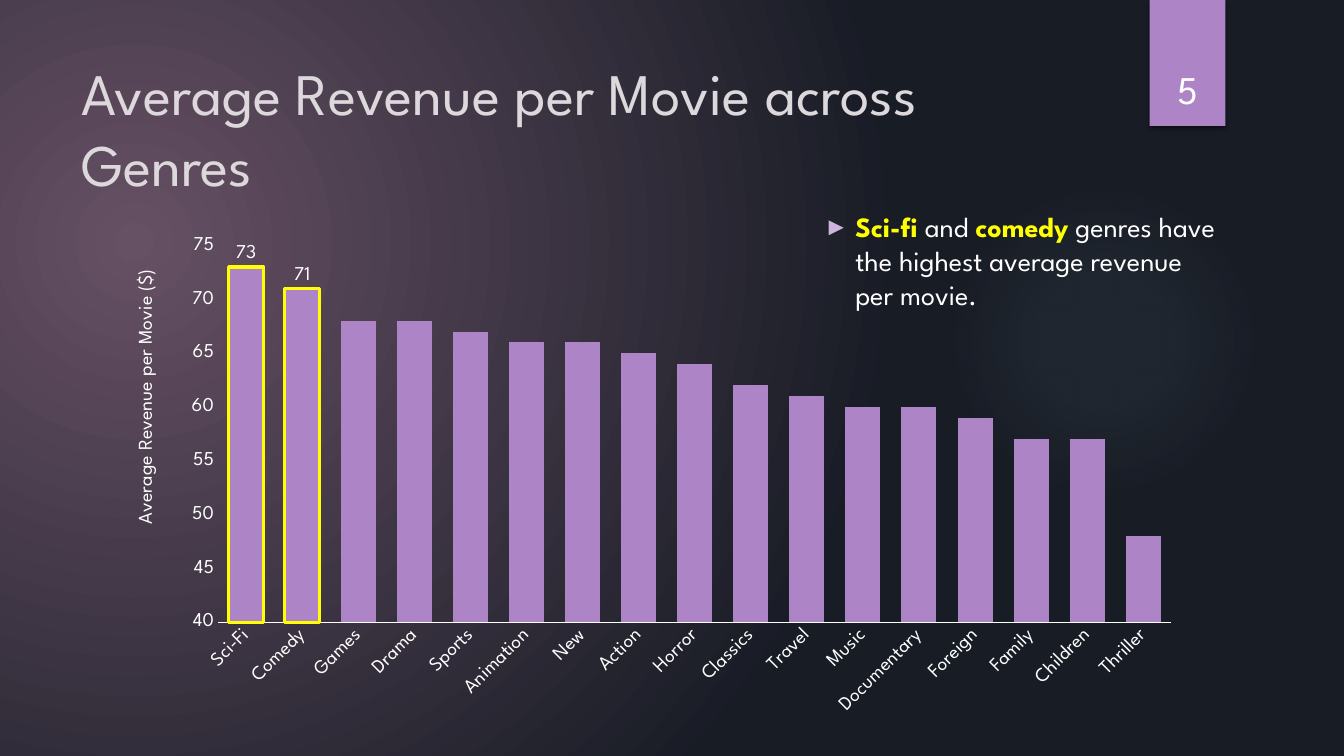
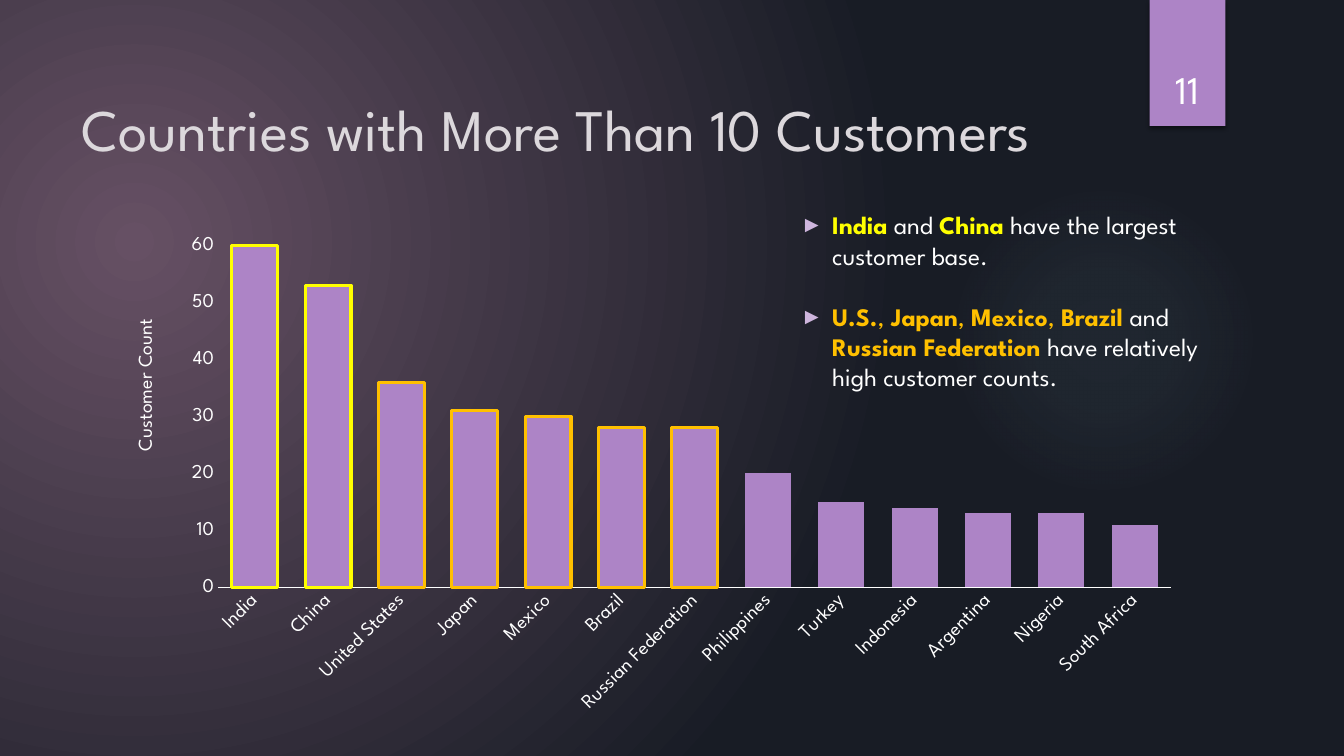
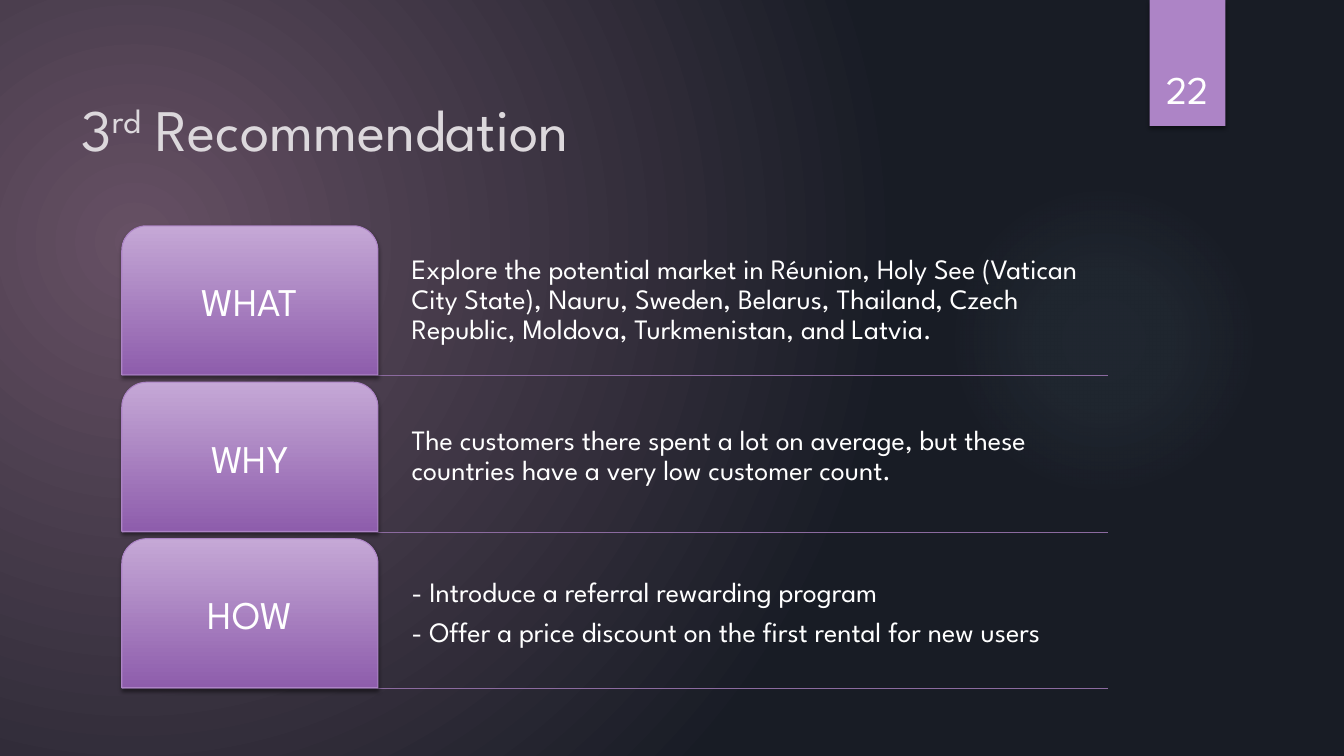
from pptx import Presentation
from pptx.chart.data import CategoryChartData
from pptx.dml.color import RGBColor
from pptx.enum.chart import XL_CHART_TYPE, XL_LABEL_POSITION, XL_TICK_MARK
from pptx.enum.shapes import MSO_CONNECTOR, MSO_SHAPE
from pptx.enum.text import MSO_ANCHOR, MSO_AUTO_SIZE, PP_ALIGN
from pptx.oxml import parse_xml
from pptx.oxml.ns import nsdecls, qn
from pptx.util import Pt

PX = 9525
FONT = "League Spartan"
WHITE = RGBColor(0xFF, 0xFF, 0xFF)
TITLE_GREY = RGBColor(0xDC, 0xD8, 0xDC)
PURPLE = RGBColor(0xAD, 0x84, 0xC6)
LILAC = RGBColor(0xC5, 0xA8, 0xD6)
VIOLET = RGBColor(0x8E, 0x5D, 0xAC)
RULE = RGBColor(0x8B, 0x6A, 0x9F)
BULLET = RGBColor(0xCE, 0xB5, 0xDD)
MAUVE = RGBColor(0x66, 0x50, 0x64)
NIGHT = RGBColor(0x18, 0x1C, 0x25)
TEAL = RGBColor(0x84, 0xAC, 0xB6)
YELLOW = RGBColor(0xFF, 0xFF, 0x00)
AMBER = RGBColor(0xFF, 0xC0, 0x00)
SHADOW = (f'<a:outerShdw {nsdecls("a")} blurRad="38100" dist="25400" dir="5400000" '
          'rotWithShape="0"><a:srgbClr val="000000"><a:alpha val="45000"/>'
          '</a:srgbClr></a:outerShdw>')


def add_run(p, text, size, color=WHITE, bold=False):
    r = p.add_run()
    r.text = text
    r.font.name, r.font.size, r.font.bold = FONT, Pt(size), bold
    r.font.color.rgb = color


def set_radial(fill, holder, stops, focus):
    """Fill with a circular gradient: stops are (position, colour, opacity) in percent."""
    fill.gradient()
    old = next(holder.iter(qn("a:gradFill")))
    gs = "".join(
        f'<a:gs pos="{pos * 1000}"><a:srgbClr val="{color}">'
        f'<a:alpha val="{alpha * 1000}"/></a:srgbClr></a:gs>'
        for pos, color, alpha in stops)
    left, top, right, bottom = (v * 1000 for v in focus)
    old.getparent().replace(old, parse_xml(
        f'<a:gradFill {nsdecls("a")} rotWithShape="1"><a:gsLst>{gs}</a:gsLst>'
        f'<a:path path="circle"><a:fillToRect l="{left}" t="{top}" r="{right}" '
        f'b="{bottom}"/></a:path></a:gradFill>'))


prs = Presentation()
prs.slide_width, prs.slide_height = 1280 * PX, 720 * PX
master = prs.slide_master
set_radial(master.background.fill, master.element,
           [(0, MAUVE, 100), (100, NIGHT, 100)], (45, 65, 125, 100))

# Titles and page numbers
CONTENT, TITLE_ONLY = prs.slide_layouts[1], prs.slide_layouts[5]
slides = []
for layout, title_parts, number in (
        (CONTENT, ["Average Revenue per Movie across Genres"], "5"),
        (CONTENT, ["Countries with More Than 10 Customers"], "11"),
        (TITLE_ONLY, ["3", "rd", " Recommendation"], "22")):
    slide = prs.slides.add_slide(layout)
    slides.append(slide)
    title = slide.shapes.title
    title.left, title.top, title.width, title.height = 68 * PX, 48 * PX, 988 * PX, 147 * PX
    tf = title.text_frame
    tf.auto_size, tf.vertical_anchor = MSO_AUTO_SIZE.NONE, MSO_ANCHOR.MIDDLE
    p = tf.paragraphs[0]
    p.alignment = PP_ALIGN.LEFT
    for part in title_parts:
        add_run(p, part, 42, TITLE_GREY)

    box = slide.shapes.add_textbox(1087 * PX, 31 * PX, 88 * PX, 81 * PX)
    tf = box.text_frame
    tf.word_wrap, tf.vertical_anchor = True, MSO_ANCHOR.BOTTOM
    p = tf.paragraphs[0]
    p.alignment = PP_ALIGN.CENTER
    add_run(p, number, 28)
ordinal = slides[2].shapes.title.text_frame.paragraphs[0].runs[1]
ordinal.font._element.set("baseline", "30000")

# Glow and number band, moved to the master so that every slide shows them
shapes = slides[0].shapes
glow = shapes.add_shape(MSO_SHAPE.OVAL, 903 * PX, 176 * PX, 296 * PX, 296 * PX)
set_radial(glow.fill, glow.element.spPr,
           [(0, TEAL, 7), (36, TEAL, 6), (69, TEAL, 0)], (50, 50, 50, 50))
band = shapes.add_shape(MSO_SHAPE.RECTANGLE, 1095 * PX, 0, 72 * PX, 120 * PX)
band.fill.solid()
band.fill.fore_color.rgb = PURPLE
for shape_id, sp in enumerate((glow, band), 20):
    sp.line.fill.background()
    sp.shadow.inherit = False
    sp.element.nvSpPr.cNvPr.set("id", str(shape_id))
    master.shapes.element.append(sp.element)
band.element.spPr.find(qn("a:effectLst")).append(parse_xml(SHADOW))

# Column charts with takeaways
CHARTS = [
    dict(axis_title="Average Revenue per Movie ($)", title_y=0.08, plot_height=0.76,
         scale=(40, 75, 5), labelled=2, outlines=[YELLOW] * 2,
         data={"Sci-Fi": 73, "Comedy": 71, "Games": 68, "Drama": 68, "Sports": 67,
               "Animation": 66, "New": 66, "Action": 65, "Horror": 64, "Classics": 62,
               "Travel": 61, "Music": 60, "Documentary": 60, "Foreign": 59,
               "Family": 57, "Children": 57, "Thriller": 48},
         list_at=(775, 195, 399, 107), list_size=20,
         points=[[("Sci-fi", YELLOW, True), (" and ",), ("comedy", YELLOW, True),
                  (" genres have the highest average revenue per movie.",)]]),
    dict(axis_title="Customer Count", title_y=0.18, plot_height=0.69,
         scale=(0, 60, 10), labelled=0, outlines=[YELLOW] * 2 + [AMBER] * 5,
         data={"India": 60, "China": 53, "United States": 36, "Japan": 31, "Mexico": 30,
               "Brazil": 28, "Russian Federation": 28, "Philippines": 20, "Turkey": 15,
               "Indonesia": 14, "Argentina": 13, "Nigeria": 13, "South Africa": 11},
         list_at=(753, 195, 422, 184), list_size=18,
         points=[[("India", YELLOW, True), (" and ",), ("China", YELLOW, True),
                  (" have the largest customer base.",)],
                 [("U.S.", AMBER, True), (",", AMBER), (" Japan", AMBER, True),
                  (", ", AMBER), ("Mexico", AMBER, True), (", ", AMBER),
                  ("Brazil ", AMBER, True), ("and ",),
                  ("Russian Federation ", AMBER, True),
                  ("have relatively high customer counts.",)]]),
]
for slide, info in zip(slides, CHARTS):
    chart_data = CategoryChartData()
    chart_data.categories = list(info["data"])
    chart_data.add_series("Series 1", list(info["data"].values()))
    chart = slide.shapes.add_chart(XL_CHART_TYPE.COLUMN_CLUSTERED, 116 * PX, 215 * PX,
                                   1020 * PX, 472 * PX, chart_data).chart
    chart.has_title = chart.has_legend = False
    plot = chart.plots[0]
    plot.gap_width, plot.overlap, plot.vary_by_categories = 60, -27, False
    cat_axis, val_axis = chart.category_axis, chart.value_axis
    cat_axis.format.line.color.rgb = WHITE
    cat_axis.format.line.width = Pt(0.75)
    val_axis.format.line.fill.background()
    val_axis.minimum_scale, val_axis.maximum_scale, val_axis.major_unit = info["scale"]
    val_axis.tick_labels.number_format = "#,##0"
    val_axis.tick_labels.number_format_is_linked = False
    for axis in (cat_axis, val_axis):
        axis.has_major_gridlines = False
        axis.major_tick_mark = axis.minor_tick_mark = XL_TICK_MARK.NONE
    add_run(val_axis.axis_title.text_frame.paragraphs[0], info["axis_title"], 14)

    series = plot.series[0]
    series.invert_if_negative = False
    series.format.fill.solid()
    series.format.fill.fore_color.rgb = PURPLE
    fonts = [chart.font, cat_axis.tick_labels.font, val_axis.tick_labels.font]
    for i, color in enumerate(info["outlines"]):
        point = series.points[i]
        point.format.fill.solid()
        point.format.fill.fore_color.rgb = PURPLE
        point.format.line.color.rgb = color
        point.format.line.width = Pt(2.25)
        if i < info["labelled"]:
            point.data_label.position = XL_LABEL_POSITION.OUTSIDE_END
            fonts.append(point.data_label.font)
    for font in fonts:
        font.name, font.size, font.bold = FONT, Pt(14), False
        font.color.rgb = WHITE

    chart_space = chart._chartSpace
    plot_area = next(chart_space.iter(qn("c:plotArea")))
    cat_element = plot_area.find(qn("c:catAx"))
    title_element = plot_area.find(qn("c:valAx")).find(qn("c:title"))
    for element, degrees in ((cat_element, -45), (title_element, -90)):
        body_pr = next(element.iter(qn("a:bodyPr")))
        body_pr.set("rot", str(degrees * 60000))
        body_pr.set("vert", "horz")
    plot_box = {"x": 0.09, "y": 0.04, "w": 0.89, "h": info["plot_height"]}
    title_box = {"x": 0.01, "y": info["title_y"]}
    for parent, index, target, frame in (
            (plot_area, 0, '<c:layoutTarget val="inner"/>', plot_box),
            (title_element, 1, "", title_box)):
        for old in parent.findall(qn("c:layout")):
            parent.remove(old)
        modes = "".join(f'<c:{k}Mode val="edge"/>' for k in "xy")
        sides = "".join(f'<c:{k} val="{v}"/>' for k, v in frame.items())
        parent.insert(index, parse_xml(
            f'<c:layout {nsdecls("c")}><c:manualLayout>{target}{modes}{sides}'
            '</c:manualLayout></c:layout>'))
    chart_space.find(qn("c:chart")).addnext(parse_xml(
        f'<c:spPr {nsdecls("c", "a")}><a:noFill/><a:ln><a:noFill/></a:ln></c:spPr>'))

    body = slide.placeholders[1]
    body.left, body.top, body.width, body.height = (v * PX for v in info["list_at"])
    tf = body.text_frame
    tf.auto_size = MSO_AUTO_SIZE.NONE
    for i, runs in enumerate(info["points"]):
        p = tf.add_paragraph() if i else tf.paragraphs[0]
        p.space_before = Pt(22 if i else 0)
        pPr = p._p.get_or_add_pPr()
        pPr.set("marL", str(30 * PX))
        pPr.set("indent", str(-30 * PX))
        for bullet in (f'<a:buClr {nsdecls("a")}><a:srgbClr val="{BULLET}"/></a:buClr>',
                       f'<a:buSzPct {nsdecls("a")} val="90000"/>',
                       f'<a:buChar {nsdecls("a")} char="►"/>'):
            pPr.append(parse_xml(bullet))
        for text, *style in runs:
            add_run(p, text, info["list_size"], *style)

# Recommendation rows
LEFT, TOP, TILE_W, TILE_H, PITCH, TEXT_W = 116, 215, 244, 142, 149, 695
ROWS = [
    ("WHAT", ["Explore the potential market in Réunion, Holy See (Vatican City State), "
              "Nauru, Sweden, Belarus, Thailand, Czech Republic, Moldova, "
              "Turkmenistan, and Latvia."]),
    ("WHY", ["The customers there spent a lot on average, but these countries have "
             "a very low customer count."]),
    ("HOW", ["- Introduce a referral rewarding program",
             "- Offer a price discount on the first rental for new users"]),
]
shapes = slides[2].shapes
for row, (label, lines) in enumerate(ROWS):
    top = TOP + row * PITCH
    bottom = (top + TILE_H + 1) * PX
    rule = shapes.add_connector(MSO_CONNECTOR.STRAIGHT, LEFT * PX, bottom,
                                (LEFT + TILE_W + TEXT_W) * PX, bottom)
    rule.line.color.rgb = RULE
    rule.line.width = Pt(0.75)
    rule.element.spPr.append(parse_xml(f'<a:effectLst {nsdecls("a")}/>'))

    tile = shapes.add_shape(MSO_SHAPE.ROUND_2_SAME_RECTANGLE, LEFT * PX, top * PX,
                            TILE_W * PX, TILE_H * PX)
    tile.fill.gradient()
    tile.fill.gradient_angle = 270
    for stop, position, color in zip(tile.fill.gradient_stops, (0, 1), (LILAC, VIOLET)):
        stop.position, stop.color.rgb = position, color
    tile.line.color.rgb = PURPLE
    tile.line.width = Pt(0.75)
    tile.shadow.inherit = False
    tile.element.spPr.find(qn("a:effectLst")).append(parse_xml(SHADOW))

    box = shapes.add_textbox((LEFT + TILE_W) * PX, top * PX, TEXT_W * PX, TILE_H * PX)
    for sp, texts, size, margin, indent, align in (
            (tile, [label], 28, 6, 0, PP_ALIGN.CENTER),
            (box, lines, 20, 4, 28, PP_ALIGN.LEFT)):
        tf = sp.text_frame
        tf.word_wrap, tf.vertical_anchor = True, MSO_ANCHOR.MIDDLE
        tf.margin_left = tf.margin_right = tf.margin_top = tf.margin_bottom = margin * PX
        for i, text in enumerate(texts):
            p = tf.add_paragraph() if i else tf.paragraphs[0]
            p.alignment, p.line_spacing, p.space_after = align, 0.9, Pt(size * 0.35)
            p._p.get_or_add_pPr().set("marL", str(indent * PX))
            add_run(p, text, size)

prs.save("out.pptx")
